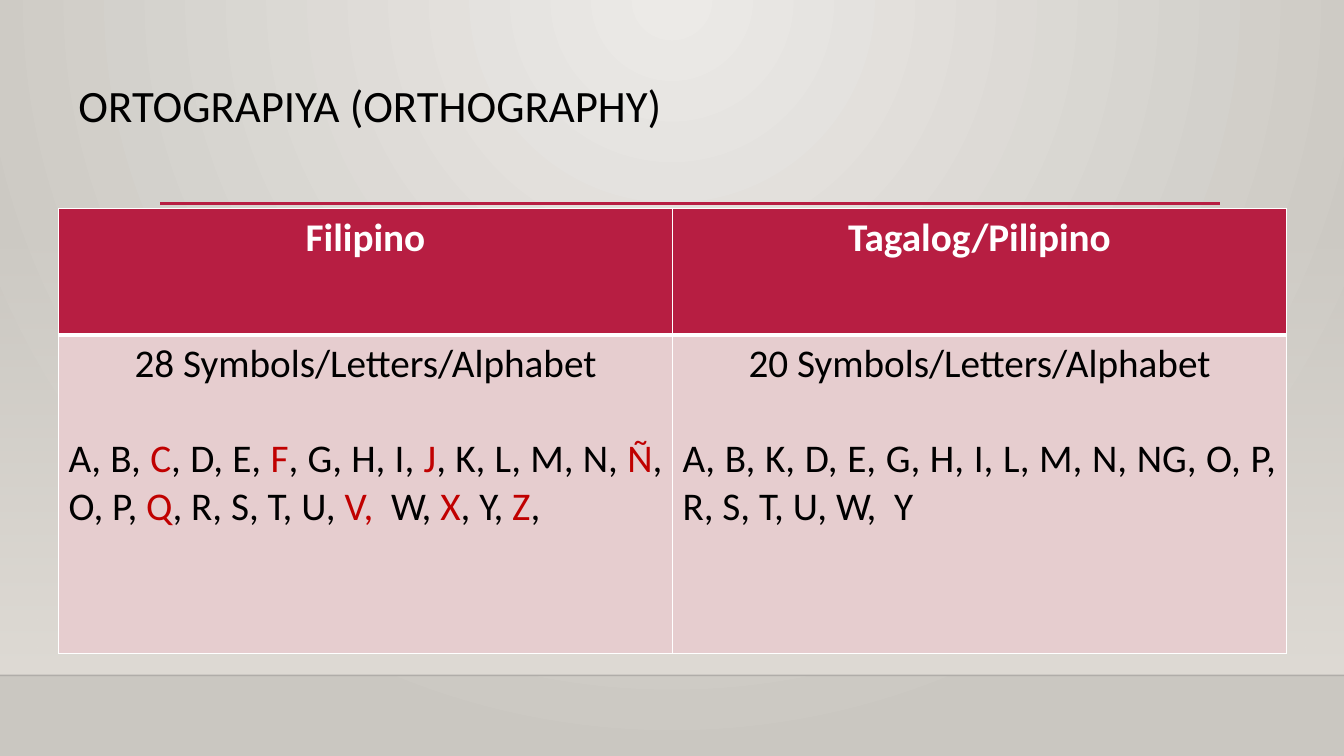
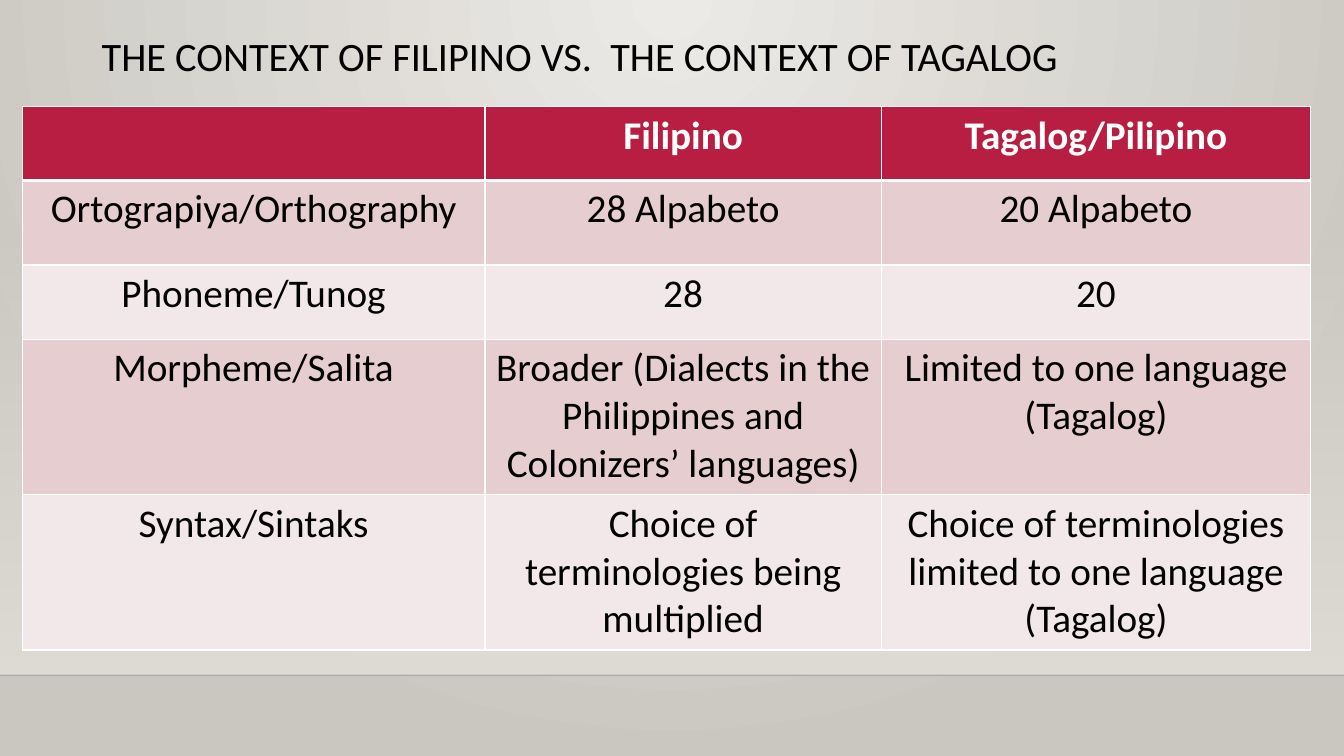
from pptx import Presentation
from pptx.dml.color import RGBColor
from pptx.enum.shapes import MSO_CONNECTOR as Connector, MSO_SHAPE as Shape
from pptx.enum.text import MSO_ANCHOR as Anchor, PP_ALIGN as Align
from pptx.oxml import parse_xml
from pptx.oxml.ns import nsdecls, qn
from pptx.util import Inches, Pt

WIDTH, HEIGHT = 13.33, 7.5
FLOOR = 6.7
FONT = "Calibri"
CRIMSON, RED, WHITE, BLACK = "B71E42", "C00000", "FFFFFF", "000000"
ROW_FILLS = ["E6CDCF", "F3E8E9"]
CENTRE_TOP = ('<a:path path="circle">'
              '<a:fillToRect l="43000" t="0" r="43000" b="100000"/></a:path>')
DOWNWARD = '<a:lin ang="5400000" scaled="0"/>'


def colour(value):
    return RGBColor.from_string(value)


def write(para, text, size=28, color=BLACK, accent=RED, bold=False,
          align=Align.LEFT, before=0, spacing=None):
    para.alignment = align
    para.space_before = Pt(before)
    para.line_spacing = spacing
    for index, part in enumerate(text.split("|")):
        if part:
            span = para.add_run()
            span.text = part
            span.font.name = FONT
            span.font.size = Pt(size)
            span.font.bold = bold
            span.font.color.rgb = colour(accent if index % 2 else color)


def set_gradient(element, start, end, direction, start_alpha=100):
    solid = next(element.iter(qn("a:solidFill")))
    solid.getparent().replace(solid, parse_xml(
        f'<a:gradFill {nsdecls("a")} rotWithShape="1"><a:gsLst>'
        f'<a:gs pos="0"><a:srgbClr val="{start}">'
        f'<a:alpha val="{start_alpha * 1000}"/></a:srgbClr></a:gs>'
        f'<a:gs pos="100000"><a:srgbClr val="{end}"/></a:gs>'
        f'</a:gsLst>{direction}</a:gradFill>'))


def add_rule(page, left, right, top, color, width, alpha=100):
    rule = page.shapes.add_connector(
        Connector.STRAIGHT, Inches(left), Inches(top), Inches(right), Inches(top))
    rule.line.color.rgb = colour(color)
    rule.line.width = Pt(width)
    tint = next(rule.element.iter(qn("a:srgbClr")))
    tint.append(parse_xml(f'<a:alpha {nsdecls("a")} val="{alpha * 1000}"/>'))
    rule.element.find(qn("p:spPr")).append(
        parse_xml(f'<a:effectLst {nsdecls("a")}/>'))


def add_page(deck):
    page = deck.slides.add_slide(deck.slide_layouts[6])
    page.background.fill.solid()
    page.background.fill.fore_color.rgb = colour(WHITE)
    set_gradient(page.element, "ECEAE7", "CAC7C1", CENTRE_TOP)
    wall = page.shapes.add_shape(
        Shape.RECTANGLE, 0, Inches(2.21), Inches(WIDTH), Inches(FLOOR - 2.21))
    wall.shadow.inherit = False
    wall.line.fill.background()
    wall.fill.solid()
    wall.fill.fore_color.rgb = colour(WHITE)
    set_gradient(wall.element, "DFDBD5", "DFDBD5", DOWNWARD, start_alpha=0)
    add_rule(page, 0, WIDTH, FLOOR, "000001", 1, alpha=20)
    add_rule(page, 1.59, 12.1, 2.02, CRIMSON, 2.5)
    return page


def add_title(page, text, left, top, width, height, size):
    box = page.shapes.add_textbox(
        Inches(left), Inches(top), Inches(width), Inches(height))
    box.text_frame.word_wrap = True
    box.text_frame.vertical_anchor = Anchor.TOP
    write(box.text_frame.paragraphs[0], text, size=size, spacing=0.9)


def set_borders(cell, **widths):
    for edge, width in widths.items():
        cell._tc.get_or_add_tcPr().append(parse_xml(
            f'<a:ln{edge} {nsdecls("a")} w="{Pt(width)}"><a:solidFill>'
            f'<a:srgbClr val="{WHITE}"/></a:solidFill></a:ln{edge}>'))


def fill_cell(cell, text, row):
    header = row == 0
    set_borders(cell, L=1, R=1, T=3 if row == 1 else 1, B=3 if header else 1)
    cell.fill.solid()
    cell.fill.fore_color.rgb = colour(CRIMSON if header else ROW_FILLS[(row - 1) % 2])
    heading, *details = text.split("\n")
    write(cell.text_frame.paragraphs[0], heading, bold=header,
          color=WHITE if header else BLACK, align=Align.CENTER)
    for detail in details:
        write(cell.text_frame.add_paragraph(), detail,
              align=Align.JUSTIFY, before=34)


def add_grid(page, left, top, columns, heights, rows):
    table = page.shapes.add_table(
        len(heights), len(columns), Inches(left), Inches(top),
        Inches(sum(columns)), Inches(sum(heights))).table
    for column, width in zip(table.columns, columns):
        column.width = Inches(width)
    for index, (height, texts) in enumerate(zip(heights, rows)):
        table.rows[index].height = Inches(height)
        for cell, text in zip(table.rows[index].cells, texts):
            fill_cell(cell, text, index)


def add_orthography(deck):
    page = add_page(deck)
    add_grid(page, 0.58, 2.07, [6.09, 6.09], [1.25, 3.16], [
        ["Filipino", "Tagalog/Pilipino"],
        ["28 Symbols/Letters/Alphabet\n"
         "A, B, |C|, D, E, |F|, G, H, I, |J|, K, L, M, N, |Ñ|, "
         "O, P, |Q|, R, S, T, U, |V,  |W, |X|, Y, |Z|,",
         "20 Symbols/Letters/Alphabet\n"
         "A, B, K, D, E, G, H, I, L, M, N, NG, O, P, R, S, T, U, W,  Y"],
    ])
    add_title(page, "ORTOGRAPIYA (ORTHOGRAPHY)", 0.68, 0.78, 10.5, 1.15, 32)


def add_context(deck):
    page = add_page(deck)
    add_title(page, "THE CONTEXT OF FILIPINO VS.  THE CONTEXT OF TAGALOG",
              0.91, 0.31, 11.38, 0.75, 28.8)
    add_grid(page, 0.22, 1.06, [4.59, 3.93, 4.26], [0.73, 0.84, 0.74, 1.54, 1.54], [
        ["", "Filipino", "Tagalog/Pilipino"],
        ["Ortograpiya/Orthography", "28 Alpabeto", "20 Alpabeto"],
        ["Phoneme/Tunog", "28", "20"],
        ["Morpheme/Salita",
         "Broader (Dialects in the Philippines and Colonizers’ languages)",
         "Limited to one language (Tagalog)"],
        ["Syntax/Sintaks", "Choice of terminologies being multiplied",
         "Choice of terminologies limited to one language (Tagalog)"],
    ])


def main():
    deck = Presentation()
    deck.slide_width = Inches(WIDTH)
    deck.slide_height = Inches(HEIGHT)
    add_orthography(deck)
    add_context(deck)
    deck.save("out.pptx")


if __name__ == "__main__":
    main()
